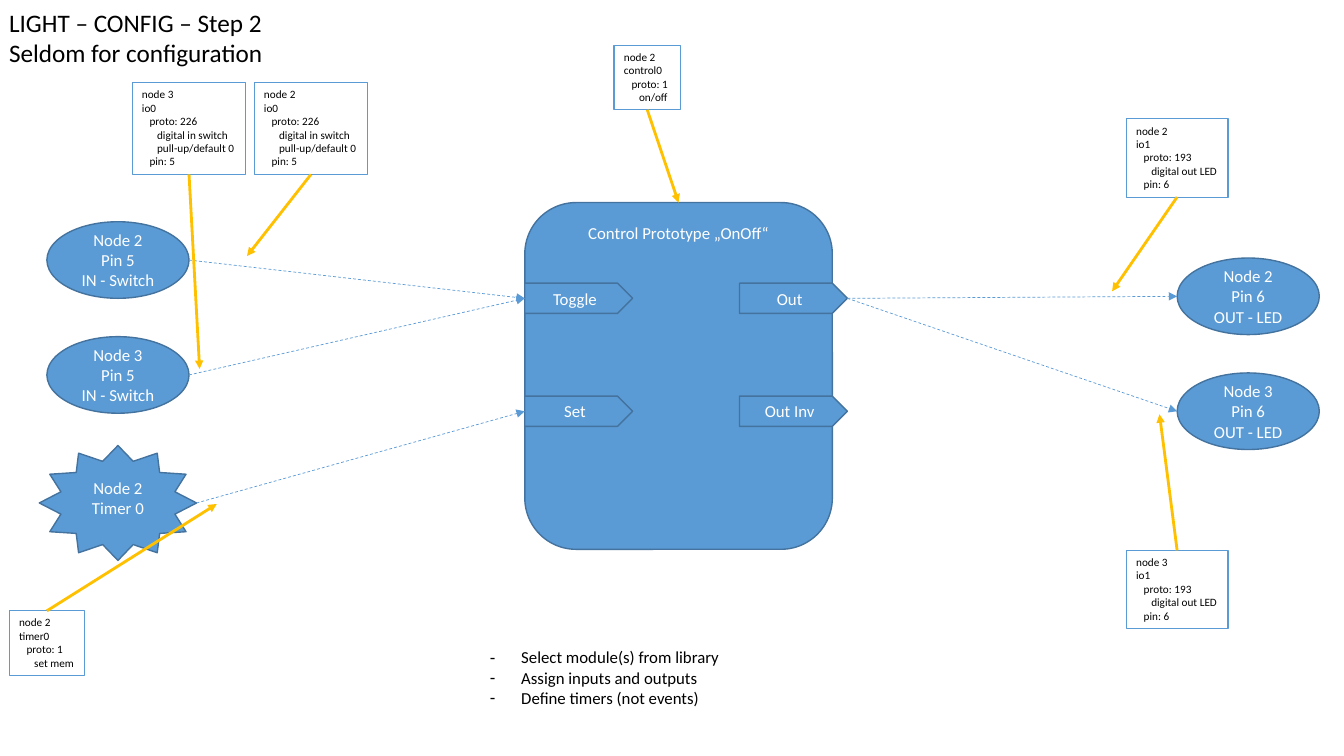
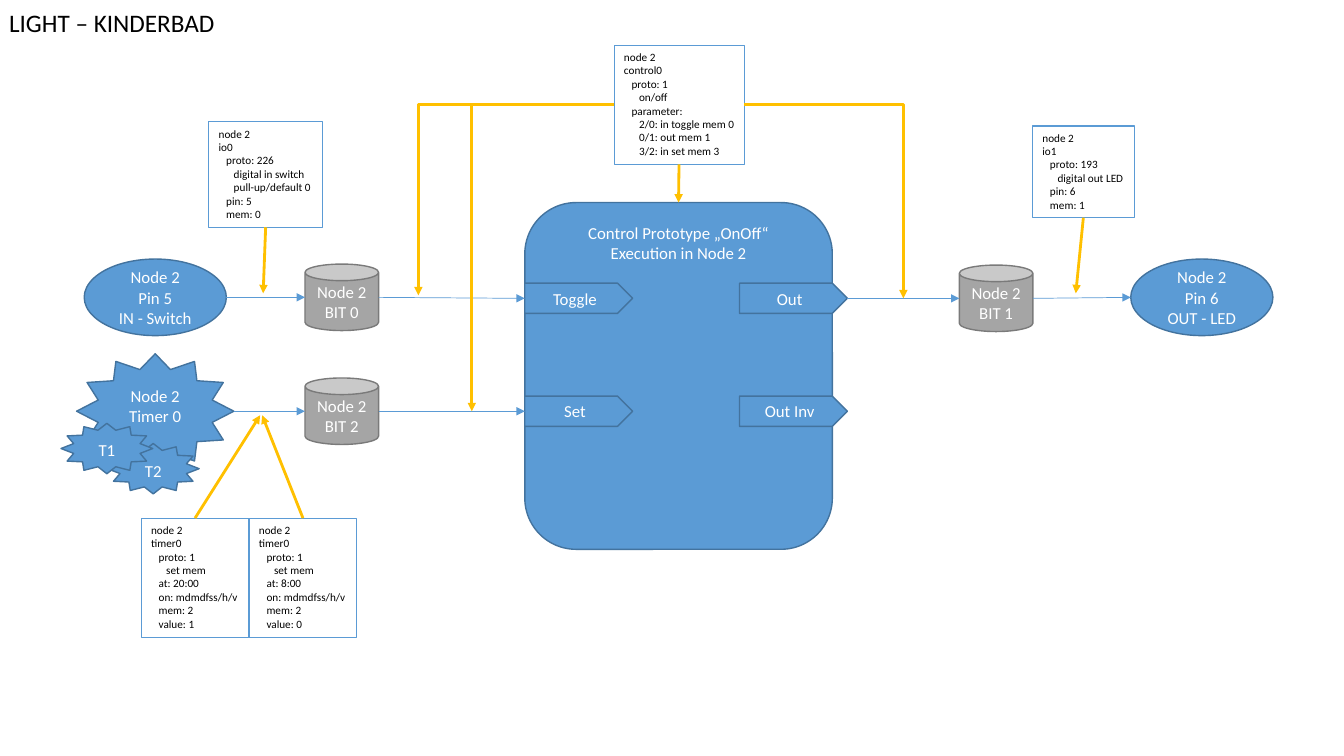
from lxml.etree import SubElement
from pptx import Presentation
from pptx.dml.color import RGBColor
from pptx.enum.dml import MSO_LINE
from pptx.enum.shapes import MSO_CONNECTOR as Connector, MSO_SHAPE as Shape
from pptx.enum.text import MSO_ANCHOR as Anchor, MSO_AUTO_SIZE as AutoSize, PP_ALIGN as Align
from pptx.oxml.ns import qn
from pptx.util import Inches, Pt

BLUE, BLUE_EDGE = RGBColor(0x5B, 0x9B, 0xD5), RGBColor(0x43, 0x73, 0x9E)
GREY, GREY_EDGE = RGBColor(0xA5, 0xA5, 0xA5), RGBColor(0x7A, 0x7A, 0x7A)
AMBER = RGBColor(0xFF, 0xC0, 0x00)
BLACK, WHITE = RGBColor(0, 0, 0), RGBColor(0xFF, 0xFF, 0xFF)
FONT = "Calibri"

# kind: preset, width, height, fill, edge, text anchor
KINDS = {
    "control": (Shape.FLOWCHART_ALTERNATE_PROCESS, 3.05, 3.44, BLUE, BLUE_EDGE, Anchor.TOP),
    "port": (Shape.PENTAGON, 1.07, 0.3, BLUE, BLUE_EDGE, Anchor.MIDDLE),
    "pin": (Shape.OVAL, 1.41, 0.76, BLUE, BLUE_EDGE, Anchor.MIDDLE),
    "timer": (Shape.STAR_12_POINT, 1.56, 1.14, BLUE, BLUE_EDGE, Anchor.TOP),
    "subtimer": (Shape.STAR_12_POINT, 0.91, 0.5, BLUE, BLUE_EDGE, Anchor.TOP),
    "bit": (Shape.CAN, 0.73, 0.66, GREY, GREY_EDGE, Anchor.MIDDLE),
}

# Centre lines shared by the slides
UPPER, LOWER = 2.96, 4.08
CONTROL_X, CONTROL_Y = 6.73, 3.73
PORT_IN, PORT_OUT = 5.74, 7.87
PORTS = [
    ("toggle", "port", PORT_IN, UPPER, "Toggle"),
    ("set", "port", PORT_IN, LOWER, "Set"),
    ("out", "port", PORT_OUT, UPPER, "Out"),
    ("out inv", "port", PORT_OUT, LOWER, "Out Inv"),
]
INPUT_X, OUTPUT_X = 1.17, 12.38
SOURCE_X, BIT_X, BIT_OUT_X, LED_X = 1.54, 3.39, 9.88, 11.92

# Note lines: (indent level, text)
SWITCH = [(0, "io0"), (1, "proto: 226"), (2, "digital in switch"),
          (2, "pull-up/default 0"), (1, "pin: 5")]
LED = [(0, "io1"), (1, "proto: 193"), (2, "digital out LED"), (1, "pin: 6")]
CONTROL = [(0, "control0"), (1, "proto: 1"), (2, "on/off")]
TIMER = [(0, "timer0"), (1, "proto: 1"), (2, "set mem")]
PARAMETERS = [(1, "parameter:"), (2, "2/0: in toggle mem 0"),
              (2, "0/1: out mem 1"), (2, "3/2: in set mem 3")]


def schedule(hour, value):
    """Return the note lines of a timer that sets memory 2."""
    return TIMER + [(1, f"at: {hour}"), (1, "on: mdmdfss/h/v"),
                    (1, "mem: 2"), (1, f"value: {value}")]


# Note: left, top, width, node, lines, side the pointer leaves, pointer target
SLIDES = [
    {
        "title": "LIGHT – CONFIG – Step 2\nSeldom for configuration",
        "title size": (2.75, 0.71),
        "steps": ["Select module(s) from library", "Assign inputs and outputs",
                  "Define timers (not events)"],
        "nodes": [
            ("control", "control", CONTROL_X, CONTROL_Y, "Control Prototype „OnOff“"),
            *PORTS,
            ("switch 2", "pin", INPUT_X, 2.58, "Node 2\nPin 5\nIN - Switch"),
            ("switch 3", "pin", INPUT_X, 3.72, "Node 3\nPin 5\nIN - Switch"),
            ("timer", "timer", INPUT_X, 4.99, "Node 2\nTimer 0"),
            ("led 2", "pin", OUTPUT_X, 2.94, "Node 2\nPin 6\nOUT - LED"),
            ("led 3", "pin", OUTPUT_X, LOWER, "Node 3\nPin 6\nOUT - LED"),
        ],
        "flows": [("switch 2", "toggle"), ("switch 3", "toggle"), ("timer", "set"),
                  ("out", "led 2"), ("out", "led 3")],
        "dash": MSO_LINE.DASH,
        "notes": [
            (1.31, 0.82, 1.13, 3, SWITCH, "bottom", (1.98, 3.66)),
            (2.52, 0.82, 1.13, 2, SWITCH, "bottom", (2.45, 2.54)),
            (6.09, 0.45, 0.66, 2, CONTROL, "bottom", (CONTROL_X, 2.01)),
            (11.17, 1.18, 1.01, 2, LED, "bottom", (11.03, 2.89)),
            (11.17, 5.46, 1.01, 3, LED, "top", (11.5, 4.11)),
            (0.09, 6.06, 0.75, 2, TIMER, "top", (2.15, 5)),
        ],
        "elbows": [],
    },
    {
        "title": "LIGHT – KINDERBAD",
        "title size": (2.26, 0.4),
        "steps": [],
        "nodes": [
            ("control", "control", CONTROL_X, CONTROL_Y,
             "Control Prototype „OnOff“\nExecution in Node 2"),
            *PORTS,
            ("switch", "pin", SOURCE_X, 2.95, "Node 2\nPin 5\nIN - Switch"),
            ("led", "pin", LED_X, 2.95, "Node 2\nPin 6\nOUT - LED"),
            ("bit 0", "bit", BIT_X, 2.95, "Node 2\nBIT 0"),
            ("bit 1", "bit", BIT_OUT_X, UPPER, "Node 2\nBIT 1"),
            ("bit 2", "bit", BIT_X, LOWER, "Node 2\nBIT 2"),
            ("timer", "timer", SOURCE_X, LOWER, "Node 2\nTimer 0"),
            ("t2", "subtimer", 1.52, 4.65, "T2"),
            ("t1", "subtimer", 1.06, 4.45, "T1"),
        ],
        "flows": [("switch", "bit 0"), ("bit 0", "toggle"), ("timer", "bit 2"),
                  ("bit 2", "set"), ("out", "bit 1"), ("bit 1", "led")],
        "dash": None,
        "notes": [
            (2.07, 1.21, 1.13, 2, SWITCH + [(1, "mem: 0")], "bottom", (2.61, 2.91)),
            (10.24, 1.25, 1.01, 2, LED + [(1, "mem: 1")], "bottom", (10.67, 2.91)),
            (6.09, 0.45, 1.29, 2, CONTROL + PARAMETERS, "bottom", (CONTROL_X, 2.01)),
            (1.4, 5.14, 1.07, 2, schedule("20:00", 1), "top", (2.58, 4.12)),
            (2.47, 5.14, 1.07, 2, schedule("8:00", 0), "top", (2.6, 4.12)),
        ],
        "elbows": [((6.09, 1.04), (4.68, LOWER)), ((7.38, 1.04), (8.96, UPPER)),
                   ((6.09, 1.04), (4.15, 2.93))],
    },
]


def write(frame, text, size, color, align=Align.LEFT, anchor=Anchor.TOP):
    """Fill a text frame and format all of its runs."""
    frame.text = text
    frame.vertical_anchor = anchor
    for paragraph in frame.paragraphs:
        paragraph.alignment = align
        paragraph.space_before = Pt(0)
        for run in paragraph.runs:
            run.font.size, run.font.name = Pt(size), FONT
            run.font.color.rgb = color


def fit(frame):
    """Let the box take the size of its unwrapped text."""
    frame.word_wrap = False
    frame.auto_size = AutoSize.SHAPE_TO_FIT_TEXT


def indent(paragraph, left, first=0):
    """Set the left margin and first-line indent; return the properties."""
    properties = paragraph._p.get_or_add_pPr()
    properties.set("marL", str(Inches(left)))
    properties.set("indent", str(Inches(first)))
    return properties


def place(placeholder, left, top, width, height):
    """Move a placeholder."""
    placeholder.left, placeholder.top = Inches(left), Inches(top)
    placeholder.width, placeholder.height = Inches(width), Inches(height)


def add_node(slide, kind, x, y, label):
    """Draw a node centred at x, y."""
    preset, width, height, fill, edge, anchor = KINDS[kind]
    node = slide.shapes.add_shape(preset, Inches(x - width / 2), Inches(y - height / 2),
                                  Inches(width), Inches(height))
    node.shadow.inherit = False
    node.fill.solid()
    node.fill.fore_color.rgb = fill
    node.line.color.rgb, node.line.width = edge, Pt(1)
    write(node.text_frame, label, 12, WHITE, Align.CENTER, anchor)


def add_arrow(slide, start, end, color, width, dash=None, bent=False):
    """Draw an arrow, straight or with one corner."""
    route = Connector.ELBOW if bent else Connector.STRAIGHT
    arrow = slide.shapes.add_connector(route, *(Inches(v) for v in (*start, *end)))
    arrow.line.color.rgb, arrow.line.width = color, Pt(width)
    if dash:
        arrow.line.dash_style = dash
    properties = arrow._element.spPr
    if bent:
        properties.find(qn("a:prstGeom")).set("prst", "bentConnector2")
    SubElement(properties.find(qn("a:ln")), qn("a:tailEnd")).set("type", "triangle")
    SubElement(properties, qn("a:effectLst"))


def add_note(slide, left, top, width, node, lines, side, target):
    """Draw a settings note and its pointer."""
    lines = [(0, f"node {node}")] + lines
    height = 0.1 + 0.135 * len(lines)
    note = slide.shapes.add_shape(Shape.RECTANGLE, Inches(left), Inches(top),
                                  Inches(width), Inches(height))
    note.shadow.inherit = False
    note.fill.background()
    note.line.color.rgb, note.line.width = BLUE, Pt(0.75)
    frame = note.text_frame
    write(frame, "\n".join(line for _, line in lines), 8, BLACK)
    # Fixed box with a slim right inset: indented lines stay on one row
    frame.margin_right = 0
    frame.word_wrap = True
    frame.auto_size = AutoSize.NONE
    for paragraph, (level, _) in zip(frame.paragraphs, lines):
        indent(paragraph, level * 0.075)
    start = (left + width / 2, top + (height if side == "bottom" else 0))
    add_arrow(slide, start, target, AMBER, 2)


def add_steps(body, steps):
    """Set the dashed list in the body placeholder."""
    place(body, 4.76, 6.37, 2.5, 0.71)
    write(body.text_frame, "\n".join(steps), 12, BLACK)
    fit(body.text_frame)
    for paragraph in body.text_frame.paragraphs:
        SubElement(indent(paragraph, 0.31, -0.31), qn("a:buChar")).set("char", "-")


def build(deck, content):
    """Add one slide."""
    layout = deck.slide_layouts[1 if content["steps"] else 5]
    slide = deck.slides.add_slide(layout)
    title = slide.shapes.title
    place(title, -0.01, 0.02, *content["title size"])
    write(title.text_frame, content["title"], 18, BLACK)
    fit(title.text_frame)
    if content["steps"]:
        add_steps(slide.placeholders[1], content["steps"])

    ends = {}
    for name, kind, x, y, label in content["nodes"]:
        add_node(slide, kind, x, y, label)
        half = KINDS[kind][1] / 2
        ends[name] = {"left": (x - half, y), "right": (x + half, y)}
    for source, target in content["flows"]:
        add_arrow(slide, ends[source]["right"], ends[target]["left"], BLUE, 0.5, content["dash"])
    for note in content["notes"]:
        add_note(slide, *note)
    for start, end in content["elbows"]:
        add_arrow(slide, start, end, AMBER, 2, bent=True)


deck = Presentation()
deck.slide_width, deck.slide_height = Inches(13.33), Inches(7.5)
for content in SLIDES:
    build(deck, content)
deck.save("out.pptx")
